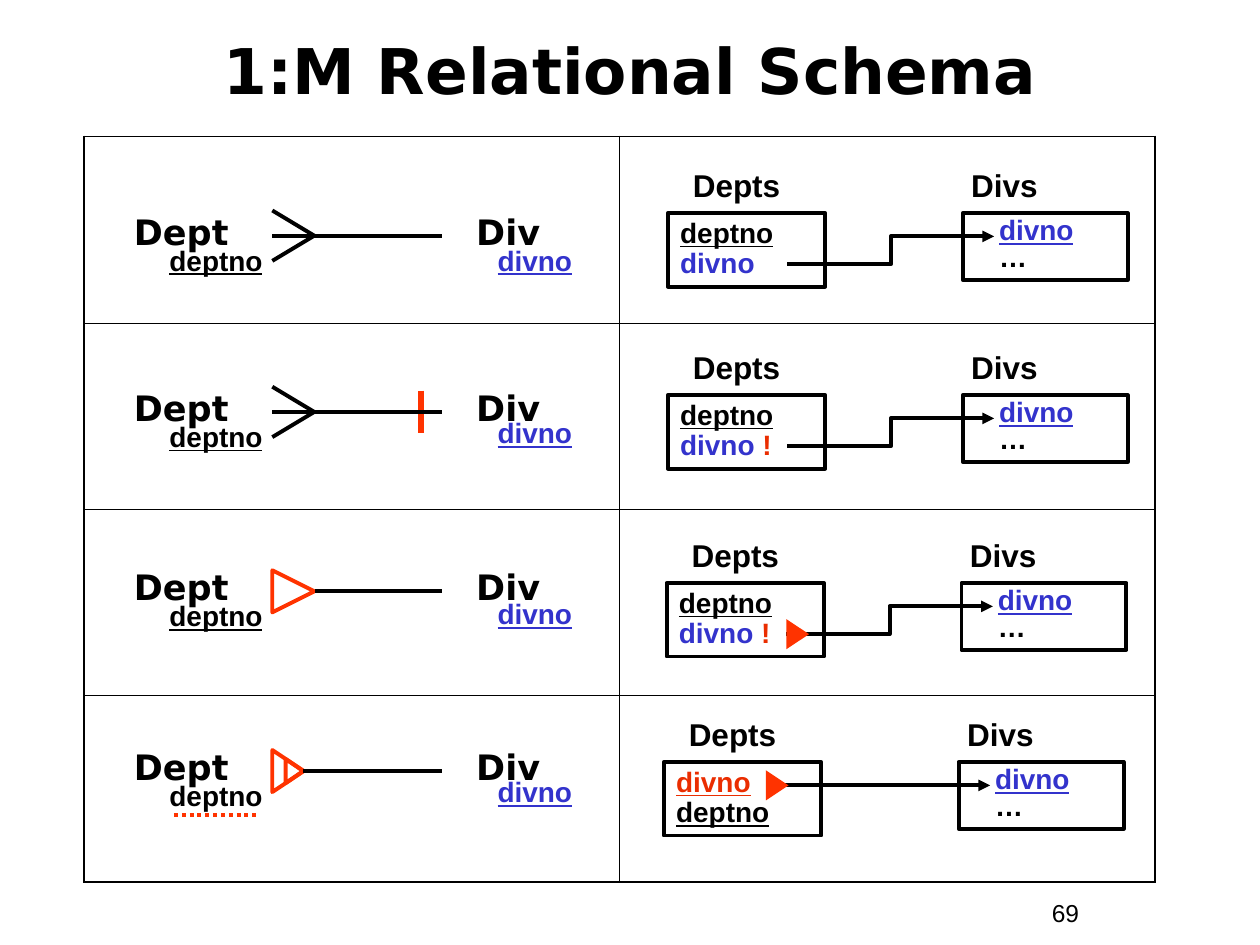
import pptx
import pptx.util
import pptx.dml.color
import pptx.enum.dml
import pptx.enum.shapes
import pptx.enum.text
import pptx.oxml
import pptx.oxml.ns

Pt = pptx.util.Pt
qn = pptx.oxml.ns.qn
SHAPES = pptx.enum.shapes.MSO_SHAPE
CONNECTORS = pptx.enum.shapes.MSO_CONNECTOR
ALIGN = pptx.enum.text.PP_ALIGN
ANCHOR = pptx.enum.text.MSO_ANCHOR
DOTTED = pptx.enum.dml.MSO_LINE.ROUND_DOT

COLORS = {"ink": "000000", "key": "3333CC", "mark": "FF3300", "required": "EA2D00"}

DEPTNO = [("deptno", "ink", True)]
DIVNO = [("divno", "key", True)]
FOREIGN_KEY = [("divno", "key", False)]
REQUIRED_KEY = [("divno ", "key", False), ("!", "required", False)]
SHARED_KEY = [("divno", "required", True)]
ELLIPSIS = [("…", "ink", False)]


def rgb(name):
    """Return the named colour as an RGBColor."""
    return pptx.dml.color.RGBColor.from_string(COLORS[name])


def write(shape, paragraphs, size=16, font="Arial", bold=True, align=ALIGN.LEFT,
          spacing=1.0, indent=0, anchor=ANCHOR.TOP):
    """Fill a shape with paragraphs of (text, colour, underline) runs."""
    frame = shape.text_frame
    frame.word_wrap = True
    frame.vertical_anchor = anchor
    frame.margin_left = frame.margin_right = Pt(7.2)
    frame.margin_top = frame.margin_bottom = Pt(3.6)
    for index, runs in enumerate(paragraphs):
        paragraph = frame.add_paragraph() if index else frame.paragraphs[0]
        paragraph.alignment = align
        paragraph.line_spacing = spacing
        paragraph.space_before = Pt(0)
        if indent:
            properties = paragraph._p.get_or_add_pPr()
            properties.set("marL", str(Pt(indent)))
            properties.set("indent", "0")
        for text, color, underline in runs:
            run = paragraph.add_run()
            run.text = text
            run.font.size = Pt(size)
            run.font.name = font
            run.font.bold = bold
            run.font.underline = underline
            run.font.color.rgb = rgb(color)


def label(slide, box, runs, **text_format):
    """Add a text box holding one paragraph."""
    write(slide.shapes.add_textbox(*map(Pt, box)), [runs], **text_format)


def connect(slide, start, end, color="ink", width=2.25, kind=CONNECTORS.STRAIGHT,
            arrow=False, dash=None):
    """Draw a connector between two points."""
    link = slide.shapes.add_connector(kind, *map(Pt, (*start, *end)))
    link.line.color.rgb = rgb(color)
    link.line.width = Pt(width)
    if dash:
        link.line.dash_style = dash
    properties = link.element.spPr
    if arrow:
        head = properties.find(qn("a:ln")).makeelement(qn("a:tailEnd"), {"type": "triangle"})
        properties.find(qn("a:ln")).append(head)
    properties.append(properties.makeelement(qn("a:effectLst"), {}))


def outline(shapes, kind, box, rotation=0, color="ink"):
    """Add an unfilled shape with a coloured outline."""
    shape = shapes.add_shape(kind, *map(Pt, box))
    shape.shadow.inherit = False
    shape.rotation = rotation
    shape.fill.background()
    shape.line.color.rgb = rgb(color)
    shape.line.width = Pt(2.25)
    return shape


def solid_arrow(slide, center_x, center_y):
    """Mark a mandatory many end with a filled triangle pointing right."""
    width, height = 17.3, 13
    box = (center_x - width / 2, center_y - height / 2, width, height)
    triangle = slide.shapes.add_shape(SHAPES.ISOSCELES_TRIANGLE, *map(Pt, box))
    triangle.shadow.inherit = False
    triangle.rotation = 90
    triangle.fill.solid()
    triangle.fill.fore_color.rgb = rgb("mark")
    triangle.line.fill.background()


def many_end(slide, left, middle, end):
    """Draw the many end of a relationship and return where its line starts."""
    if end == "crow":
        for rise in (-14.4, 14.4):
            connect(slide, (left + 24, middle), (left, middle + rise))
        return left
    if end == "triangle":
        outline(slide.shapes, SHAPES.FLOWCHART_EXTRACT, (left, middle - 12, 24, 24), 90, "mark")
        return left + 24.5
    nested = slide.shapes.add_group_shape().shapes
    for box in ((left - 3, middle - 9, 24, 18), (left + 5.8, middle - 5, 13.7, 10)):
        outline(nested, SHAPES.ISOSCELES_TRIANGLE, box, 90, "mark")
    return left + 17.5


def er_diagram(slide, left, top, end, divno_drop, mandatory=False, weak=False):
    """Draw the Dept to Div relationship from its top left corner."""
    middle = top + 14.4
    line_start = many_end(slide, left + 98, middle, end)
    if mandatory:
        connect(slide, (left + 183, top + 2.2), (left + 183, top + 26.6), "mark", 3)
    connect(slide, (line_start, middle), (left + 195, middle))
    entity = {"size": 20, "font": "DejaVu Sans", "align": ALIGN.CENTER, "spacing": 0.85}
    attribute = {"align": ALIGN.CENTER, "spacing": 0.85}
    label(slide, (left, top, 92, 28), [("Dept", "ink", False)], **entity)
    label(slide, (left + 190.8, top, 84, 28), [("Div", "ink", False)], **entity)
    deptno = [("deptno", "ink", False)] if weak else DEPTNO
    label(slide, (left + 23.8, top + 18, 84, 24), deptno, **attribute)
    label(slide, (left + 206, top + divno_drop, 84, 24), DIVNO, **attribute)
    if weak:
        connect(slide, (left + 41.8, top + 39.6), (left + 89.3, top + 39.6), "mark", dash=DOTTED)


def relational_schema(slide, left, top, columns, arrow_x=None):
    """Draw the Depts and Divs relations from the corner of the Depts box."""
    heading = {"size": 18, "spacing": 0.8}
    label(slide, (left + 7.2, top - 26.3, 84, 24.5), [("Depts", "ink", False)], **heading)
    label(slide, (left + 166.3, top - 26.3, 94, 24.5), [("Divs", "ink", False)], **heading)
    depts = outline(slide.shapes, SHAPES.RECTANGLE, (left, top, 90, 42))
    write(depts, columns, spacing=0.9)
    divs = outline(slide.shapes, SHAPES.RECTANGLE, (left + 168.5, top, 94.3, 38.2))
    write(divs, [DIVNO, ELLIPSIS], spacing=0.8, indent=13.7)
    primary_y, foreign_y = top + 13.3, top + 29.2
    end = (left + 186.5, primary_y)
    if columns[0] is SHARED_KEY:
        source_y = primary_y
        connect(slide, (left + 67, source_y), end, arrow=True)
    else:
        source_y = foreign_y
        connect(slide, (left + 68.4, source_y), end, kind=CONNECTORS.ELBOW, arrow=True)
    if arrow_x:
        solid_arrow(slide, left + arrow_x, source_y)


def comparison_grid(slide, left, top, width, height, rows=4, columns=2):
    """Draw the empty table that frames the diagrams."""
    grid = slide.shapes.add_table(rows, columns, *map(Pt, (left, top, width, height))).table
    grid.first_row = grid.horz_banding = False
    for row in range(rows):
        for column in range(columns):
            cell = grid.cell(row, column)
            cell.fill.background()
            properties = cell._tc.get_or_add_tcPr()
            outer = {"lnL": column == 0, "lnR": column == columns - 1,
                     "lnT": row == 0, "lnB": row == rows - 1}
            for position, (side, is_outer) in enumerate(outer.items()):
                border = pptx.oxml.parse_xml(
                    f'<a:{side} xmlns:a="http://schemas.openxmlformats.org/drawingml/2006/main" '
                    f'w="{Pt(1.08 if is_outer else 0.45)}"><a:solidFill>'
                    f'<a:srgbClr val="{COLORS["ink"]}"/></a:solidFill></a:{side}>')
                properties.insert(position, border)


def heading(slide, left, top, width, height):
    """Place and format the slide title."""
    title = slide.shapes.title
    title.left, title.top, title.width, title.height = map(Pt, (left, top, width, height))
    write(title, [[("1:M Relational Schema", "ink", False)]], size=36, font="DejaVu Sans",
          align=ALIGN.CENTER, anchor=ANCHOR.MIDDLE)


def main():
    """Build the slide and save it."""
    deck = pptx.Presentation()
    deck.slide_width, deck.slide_height = Pt(720), Pt(540)
    slide = deck.slides.add_slide(deck.slide_layouts[5])
    heading(slide, 24, 6.5, 672, 66)
    comparison_grid(slide, 48.2, 78, 612, 426.2)

    relationships = [
        (120.3, {"end": "crow", "divno_drop": 18}),
        (221, {"end": "crow", "divno_drop": 16, "mandatory": True}),
        (323.5, {"end": "triangle", "divno_drop": 17}),
        (426.2, {"end": "nested", "divno_drop": 16, "weak": True}),
    ]
    for top, details in relationships:
        er_diagram(slide, 57.6, top, **details)

    schemas = [
        (381.6, 121.8, [DEPTNO, FOREIGN_KEY], None),
        (381.6, 225.8, [DEPTNO, REQUIRED_KEY], None),
        (380.9, 333.2, [DEPTNO, REQUIRED_KEY], 74.9),
        (379.3, 435.5, [SHARED_KEY, DEPTNO], 64.8),
    ]
    for left, top, columns, arrow_x in schemas:
        relational_schema(slide, left, top, columns, arrow_x)

    label(slide, (594, 509.8, 66, 24.5), [("69", "ink", False)], size=14, bold=False)
    deck.save("out.pptx")


if __name__ == "__main__":
    main()
